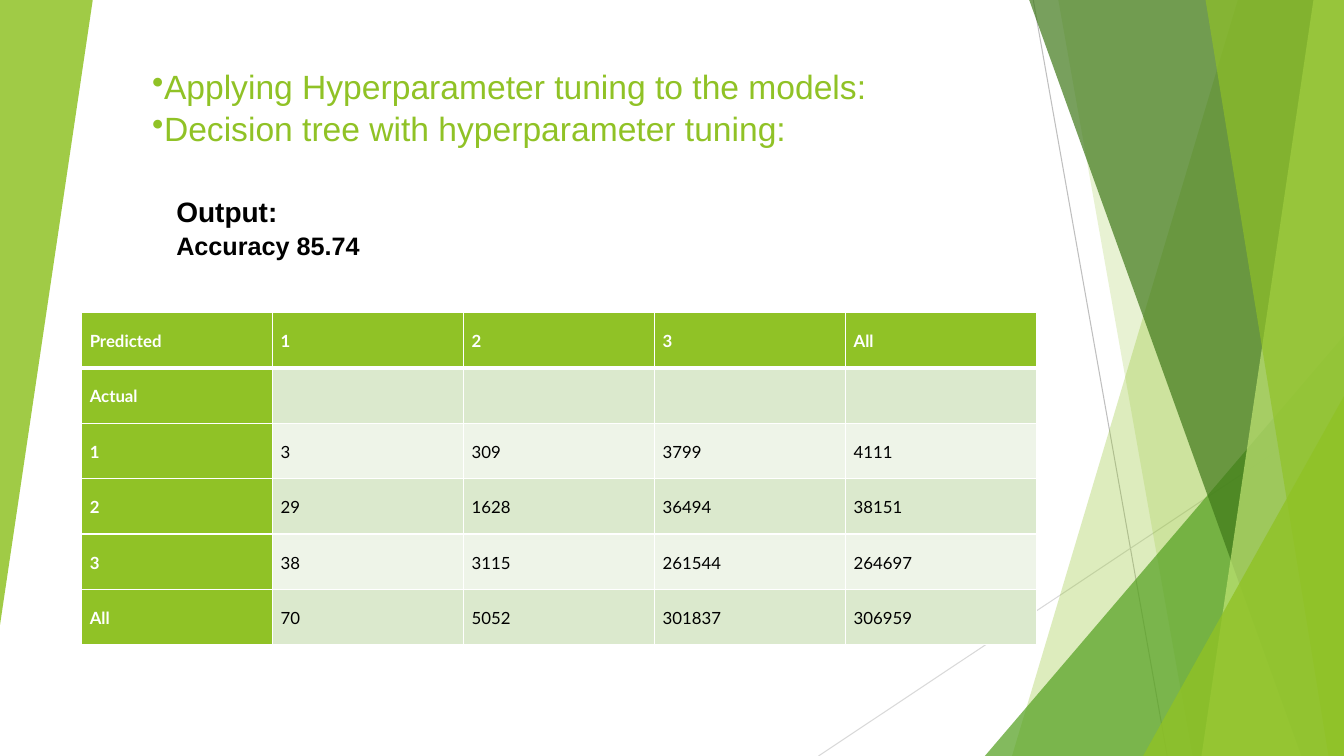
from dataclasses import dataclass

from lxml import etree
from pptx import Presentation
from pptx.dml.color import RGBColor
from pptx.enum.shapes import MSO_CONNECTOR, MSO_SHAPE
from pptx.enum.text import MSO_ANCHOR
from pptx.oxml.ns import qn
from pptx.util import Emu, Inches, Pt

STRAIGHT = MSO_CONNECTOR.STRAIGHT
TRIANGLE = MSO_SHAPE.ISOSCELES_TRIANGLE
MIDDLE = MSO_ANCHOR.MIDDLE
WIDTH, HEIGHT = Inches(13.333), Inches(7.5)

COLORS = {
    "lime": "90C226", "green": "54A021", "forest": "3F7819", "pale": "C0E474",
    "grey": "BFBFBF", "light grey": "D9D9D9", "white": "FFFFFF",
    "black": "000000", "odd row": "DBE9CD", "even row": "EEF4E8",
}


# All positions and sizes are percentages of the slide's width or height.
@dataclass
class Ray:
    x1: float
    y1: float
    x2: float
    y2: float
    color: str


@dataclass
class Band:
    """A strip that reaches the right edge, slanted from top to foot."""
    top: float
    foot: float
    color: str
    alpha: int


@dataclass
class Wedge:
    left: float
    top: float
    width: float
    height: float
    color: str
    alpha: int
    rotation: int = 0


@dataclass
class Line:
    text: str
    size: int
    color: str
    bold: bool = False
    bullet: bool = False
    spacing: float = 1.0
    before: int = 0


RAYS = [
    Ray(76.88, 0, 86.85, 100, "grey"),
    Ray(100, 53.73, 60.9, 100, "light grey"),
]
FACETS = [
    Band(92.1, 75.3, "lime", 30),
    Band(78.75, 88.73, "lime", 20),
    Wedge(73.28, 44.4, 26.72, 55.6, "green", 72),
    Band(76.58, 96.83, "forest", 70),
    Band(97.73, 89.4, "pale", 70),
    Band(89.7, 98.85, "lime", 65),
    Wedge(85.05, 52.4, 14.95, 47.6, "lime", 80),
    Wedge(0, 0, 6.9, 82.67, "lime", 85, rotation=180),
]
OUTPUT = [
    Line("Output:", 20, "black", bold=True, spacing=1.07),
    Line("Accuracy 85.74", 18, "black", bold=True, spacing=1.07),
]
TITLE = [
    Line("Applying Hyperparameter tuning to the models:", 24, "lime", bullet=True),
    Line("Decision tree with hyperparameter tuning:", 24, "lime", bullet=True, before=1),
]
CONFUSION = [
    ["Predicted", "1", "2", "3", "All"],
    ["Actual", "", "", "", ""],
    ["1", "3", "309", "3799", "4111"],
    ["2", "29", "1628", "36494", "38151"],
    ["3", "38", "3115", "261544", "264697"],
    ["All", "70", "5052", "301837", "306959"],
]
COLUMN, ROW = 14.21, 7.33


def across(percent: float) -> Emu:
    return Emu(round(WIDTH * percent / 100))


def down(percent: float) -> Emu:
    return Emu(round(HEIGHT * percent / 100))


def rgb(name: str) -> RGBColor:
    return RGBColor.from_string(COLORS[name])


def style_run(p, size: int, color: str, bold: bool, font: str) -> None:
    for r in p.runs:
        r.font.name, r.font.size, r.font.bold = font, Pt(size), bold
        r.font.color.rgb = rgb(color)


def draw_ray(slide, ray: Ray) -> None:
    sp = slide.shapes.add_connector(
        STRAIGHT, across(ray.x1), down(ray.y1), across(ray.x2), down(ray.y2))
    sp.line.color.rgb = rgb(ray.color)
    sp.line.width = Pt(0.75)
    etree.SubElement(sp._element.spPr, qn("a:effectLst"))


def draw_facet(slide, facet: Band | Wedge) -> None:
    if isinstance(facet, Band):
        builder = slide.shapes.build_freeform(across(facet.top), 0)
        corners = [(100, 0), (100, 100), (facet.foot, 100)]
        builder.add_line_segments([(across(x), down(y)) for x, y in corners], close=True)
        sp = builder.convert_to_shape()
    else:
        sp = slide.shapes.add_shape(
            TRIANGLE, across(facet.left), down(facet.top),
            across(facet.width), down(facet.height))
        sp.adjustments[0] = 1
        sp.rotation = facet.rotation
    sp.shadow.inherit = False
    sp.line.fill.background()
    sp.fill.solid()
    sp.fill.fore_color.rgb = rgb(facet.color)
    color = sp._element.spPr.find(qn("a:solidFill"))[0]
    etree.SubElement(color, qn("a:alpha"), val=str(facet.alpha * 1000))


def draw_text(slide, left: float, top: float, width: float, height: float,
              lines: list[Line], anchor=None) -> None:
    sp = slide.shapes.add_textbox(across(left), down(top), across(width), down(height))
    tf = sp.text_frame
    tf.word_wrap = True
    tf.vertical_anchor = anchor
    tf.text = "\n".join(line.text for line in lines)
    for p, line in zip(tf.paragraphs, lines):
        if line.bullet:
            etree.SubElement(p._p.get_or_add_pPr(), qn("a:buChar"), char="•")
        p.line_spacing = line.spacing
        if line.before:
            p.space_before = Pt(line.before)
        style_run(p, line.size, line.color, line.bold, "Arial")


def add_border(cell, side: str, points: int) -> None:
    ln = etree.SubElement(cell._tc.get_or_add_tcPr(), qn(f"a:ln{side}"), w=str(Pt(points)))
    fill = etree.SubElement(ln, qn("a:solidFill"))
    etree.SubElement(fill, qn("a:srgbClr"), val=COLORS["white"])


def draw_cell(cell, text: str, row: int, col: int) -> None:
    heading = row == 0 or col == 0
    for side in "LRTB":
        under_header = (row, side) in ((0, "B"), (1, "T"))
        add_border(cell, side, 3 if under_header else 1)
    cell.fill.solid()
    cell.fill.fore_color.rgb = rgb(
        "lime" if heading else "odd row" if row % 2 else "even row")
    cell.vertical_anchor = MIDDLE
    cell.margin_left = cell.margin_right = Inches(0.08)
    cell.margin_top = cell.margin_bottom = Inches(0.04)
    if text:
        cell.text_frame.text = text
        p = cell.text_frame.paragraphs[0]
        p.line_spacing, p.space_after = 1.07, Pt(8)
        style_run(p, 12, "white" if heading else "black", heading, "Lato")


def draw_table(slide, left: float, top: float, values: list[list[str]]) -> None:
    rows, cols = len(values), len(values[0])
    table = slide.shapes.add_table(
        rows, cols, across(left), down(top), across(COLUMN * cols), down(ROW * rows)).table
    for row, texts in enumerate(values):
        for col, text in enumerate(texts):
            draw_cell(table.cell(row, col), text, row, col)


def main() -> None:
    prs = Presentation()
    prs.slide_width, prs.slide_height = WIDTH, HEIGHT
    slide = prs.slides.add_slide(prs.slide_layouts[6])
    for ray in RAYS:
        draw_ray(slide, ray)
    for facet in FACETS:
        draw_facet(slide, facet)
    draw_text(slide, 12.38, 24.8, 63.68, 50.27, OUTPUT)
    draw_text(slide, 10.58, 8.13, 60.6, 12.13, TITLE, MIDDLE)
    draw_table(slide, 6.08, 41.33, CONFUSION)
    prs.save("out.pptx")


if __name__ == "__main__":
    main()
